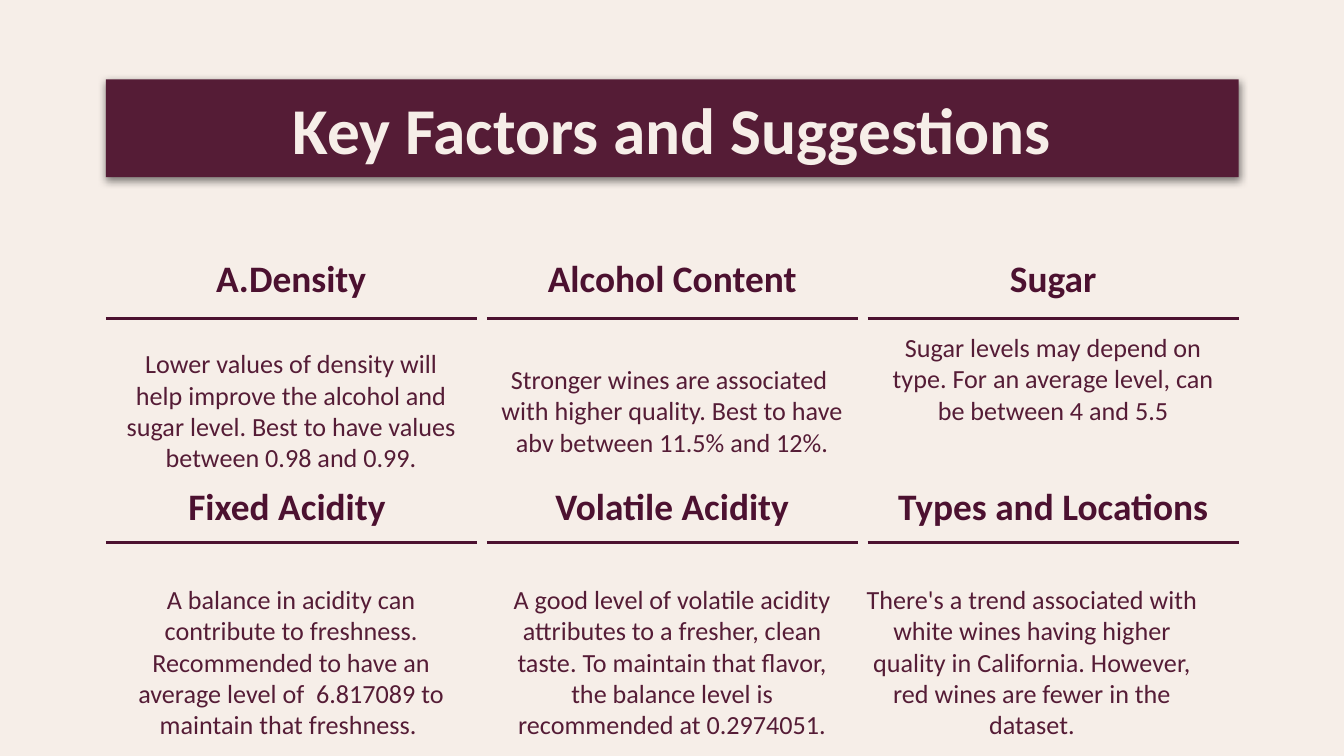
from lxml import etree
from pptx import Presentation
from pptx.dml.color import RGBColor
from pptx.enum import shapes, text
from pptx.oxml import parse_xml
from pptx.oxml.ns import nsdecls, qn
from pptx.util import Cm, Pt

CREAM = RGBColor(0xF6, 0xEE, 0xE8)
WINE = RGBColor(0x55, 0x1C, 0x36)
DARK_WINE = RGBColor(0x4C, 0x11, 0x30)
FONT = "Calibri"

LEFT, PITCH, COLUMN_WIDTH = 2.0, 7.2, 7.01
# Tops of heading, rule and body in each row
ROWS = [(4.72, 6.02, 7.01), (9.02, 10.26, 11.76)]

# Heading, body, shift of the body (right, down)
FACTORS = [
    [
        ("Density", "Lower values of density will help improve the alcohol and sugar "
         "level. Best to have values between 0.98 and 0.99.", (0, 0)),
        ("Alcohol Content", "Stronger wines are associated  with higher quality. "
         "Best to have abv between 11.5% and 12%.", (0, 0)),
        ("Sugar", "Sugar levels may depend on type. For an average level, can be "
         "between 4 and 5.5", (0, -0.61)),
    ],
    [
        ("Fixed Acidity ", "A balance in acidity can contribute to freshness. Recommended "
         "to have an average level of  6.817089 to maintain that freshness. ", (0, 0)),
        ("Volatile Acidity", "A good level of volatile acidity attributes to a fresher, "
         "clean taste. To maintain that flavor, the balance level is recommended at "
         "0.2974051.", (0, 0)),
        ("Types and Locations", "There's a trend associated with white wines having higher "
         "quality in California. However, red wines are fewer in the dataset.", (-0.4, 0)),
    ],
]


def write(shape, words, size, color, bold=False):
    """Fill a shape with one centred paragraph and return the paragraph."""
    frame = shape.text_frame
    frame.word_wrap = True
    frame.vertical_anchor = text.MSO_ANCHOR.MIDDLE
    frame.margin_left = frame.margin_right = Cm(0.25)
    frame.margin_top = frame.margin_bottom = Cm(0.25)
    paragraph = frame.paragraphs[0]
    paragraph.alignment = text.PP_ALIGN.CENTER
    run = paragraph.add_run()
    run.text = words
    run.font.name = FONT
    run.font.size = Pt(size)
    run.font.bold = bold
    run.font.color.rgb = color
    return paragraph


def add_words(slide, left, top, height, words, size, color, bold=False):
    box = slide.shapes.add_textbox(Cm(left), Cm(top), Cm(COLUMN_WIDTH), Cm(height))
    return write(box, words, size, color, bold)


def add_letter(paragraph):
    """Number a paragraph with a capital letter."""
    properties = paragraph._p.get_or_add_pPr()
    properties.set("marL", "0")
    properties.set("indent", str(-Cm(0.36)))
    color = etree.SubElement(properties, qn("a:buClr"))
    etree.SubElement(color, qn("a:srgbClr"), val=str(DARK_WINE))
    etree.SubElement(properties, qn("a:buFont"), typeface=FONT)
    etree.SubElement(properties, qn("a:buAutoNum"), type="alphaUcPeriod")


def add_rule(slide, left, top):
    rule = slide.shapes.add_connector(
        shapes.MSO_CONNECTOR.STRAIGHT,
        Cm(left), Cm(top), Cm(left + COLUMN_WIDTH), Cm(top))
    rule.line.color.rgb = DARK_WINE
    rule.line.width = Pt(1.5)
    etree.SubElement(rule._element.spPr, qn("a:effectLst"))


def add_banner(slide, words):
    banner = slide.shapes.add_shape(
        shapes.MSO_SHAPE.RECTANGLE, Cm(LEFT), Cm(1.5), Cm(2 * PITCH + COLUMN_WIDTH), Cm(1.85))
    banner.fill.solid()
    banner.fill.fore_color.rgb = WINE
    banner.line.fill.background()
    banner._element.spPr.append(parse_xml(
        f'<a:effectLst {nsdecls("a")}>'
        f'<a:outerShdw blurRad="{Pt(4.5)}" dist="{Pt(1.5)}" dir="5400000" '
        'algn="bl" rotWithShape="0">'
        '<a:srgbClr val="000000"><a:alpha val="50000"/></a:srgbClr>'
        '</a:outerShdw></a:effectLst>'))
    write(banner, words, 35, CREAM, bold=True)


def main():
    deck = Presentation()
    deck.slide_width, deck.slide_height = Cm(25.4), Cm(14.29)
    slide = deck.slides.add_slide(deck.slide_layouts[6])
    slide.background.fill.solid()
    slide.background.fill.fore_color.rgb = CREAM

    add_banner(slide, "Key Factors and Suggestions")
    for (heading_top, rule_top, body_top), factors in zip(ROWS, FACTORS):
        for column, (name, advice, (right, down)) in enumerate(factors):
            left = LEFT + column * PITCH
            heading = add_words(slide, left, heading_top, 1.07, name, 20, DARK_WINE, bold=True)
            if name == "Density":
                add_letter(heading)
            add_rule(slide, left, rule_top)
            add_words(slide, left + right, body_top + down, 1.5, advice, 14, WINE)
    deck.save("out.pptx")


if __name__ == "__main__":
    main()
